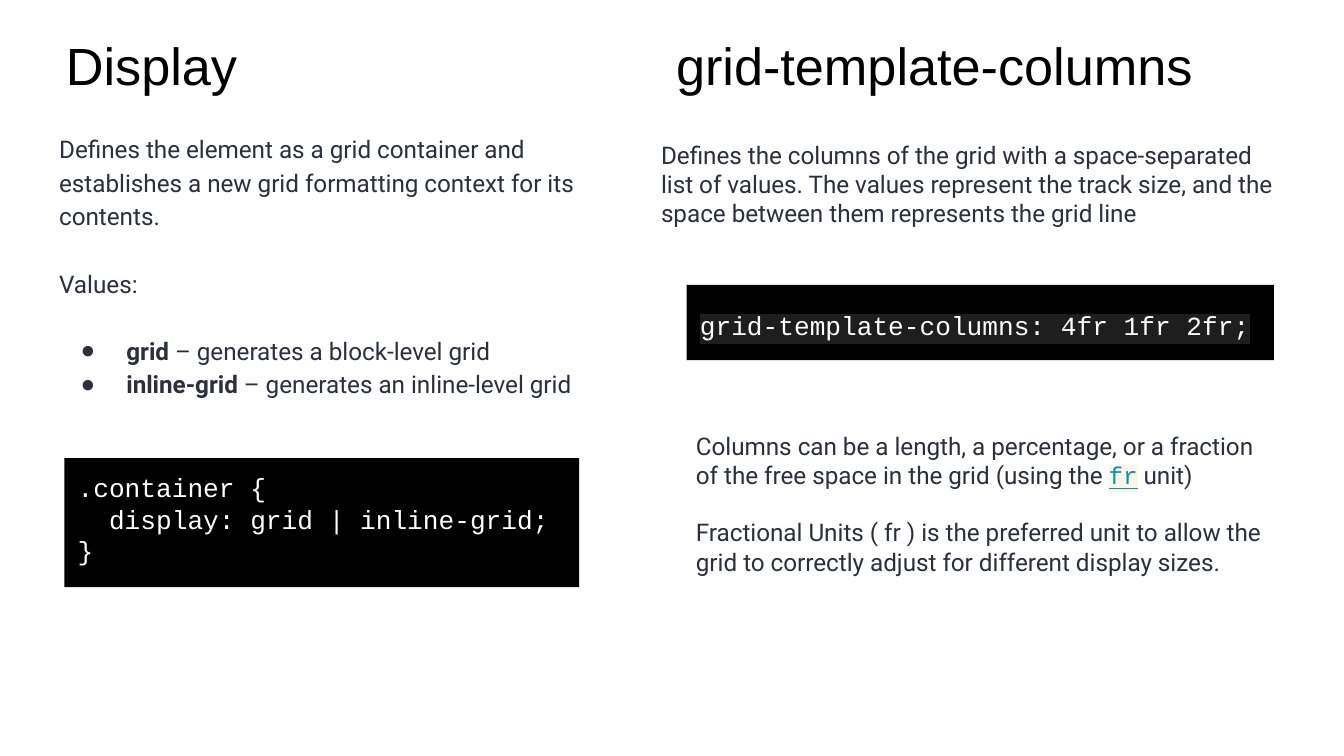
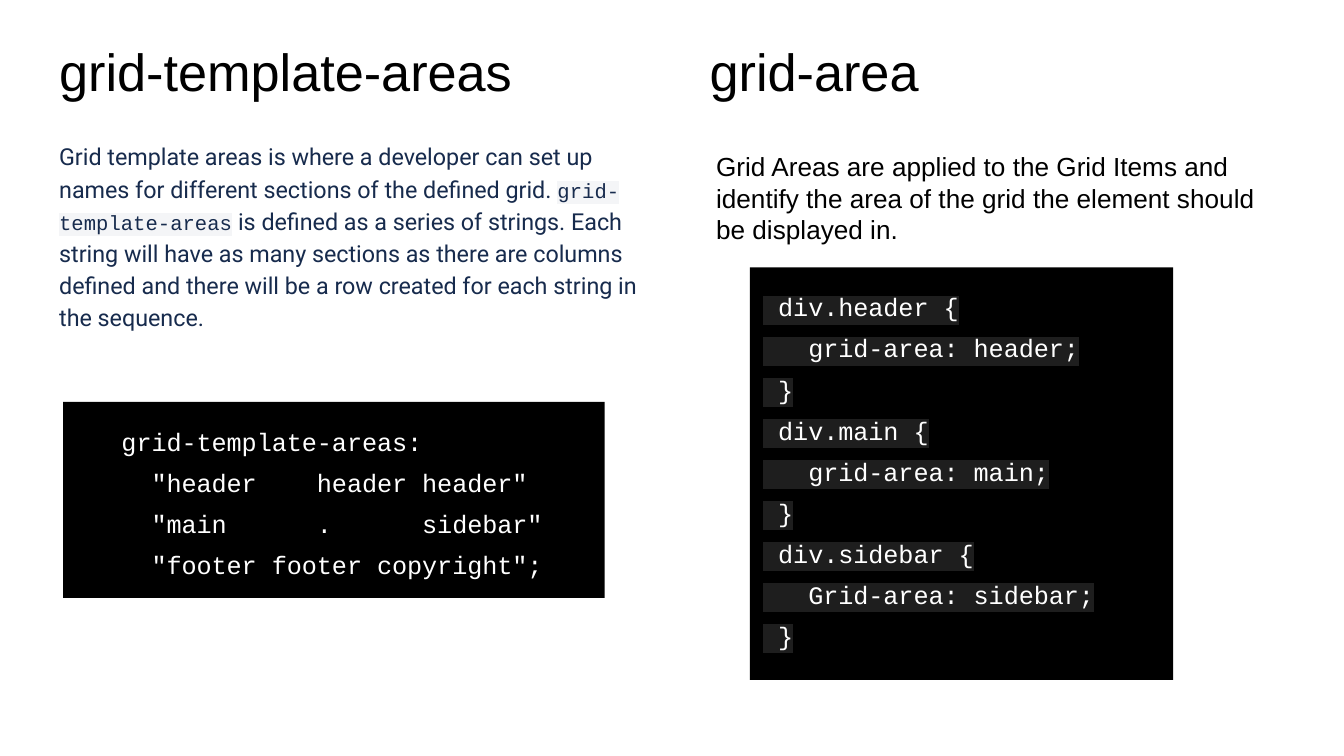
from lxml.etree import SubElement
from pptx import Presentation
from pptx.dml.color import RGBColor
from pptx.enum.shapes import MSO_SHAPE
from pptx.enum.text import MSO_ANCHOR, MSO_AUTO_SIZE, PP_ALIGN
from pptx.oxml.ns import qn
from pptx.util import Inches, Pt

# Shared style: a grid of 0.1 inch cells, 100 columns by 56.25 rows
CELL = Inches(0.1)
BLACK, WHITE, INK, NAVY, TEAL = "000000", "FFFFFF", "2E2F3E", "172B4D", "0097A7"
CODE_BAND, LINK_BAND, WORD_BAND = "1E1E1E", "FFF6EA", "F4F5F7"
SANS, MONO, BODY = "Arial", "Courier New", "Roboto"


def rgb(value):
    return RGBColor.from_string(value)


def add_run(paragraph, text, size=13, font=BODY, color=INK, bold=False,
            underline=False, highlight=None):
    run = paragraph.add_run()
    run.text = text
    run.font.size = Pt(size)
    run.font.bold = bold
    run.font.underline = underline
    run.font.color.rgb = rgb(color)
    if highlight:
        band = SubElement(run.font._element, qn("a:highlight"))
        SubElement(band, qn("a:srgbClr"), val=highlight)
    run.font.name = font


def set_bullet(paragraph, char=None, color=INK):
    props = paragraph._p.get_or_add_pPr()
    props.set("marL", str(Inches(0.5) if char else 0))
    props.set("indent", str(-Inches(0.34) if char else 0))
    if char:
        tint = SubElement(props, qn("a:buClr"))
        SubElement(tint, qn("a:srgbClr"), val=color)
        SubElement(props, qn("a:buChar"), char=char)
    else:
        SubElement(props, qn("a:buNone"))


class Deck:
    """Holds the presentation, its style and the current slide."""

    def __init__(self):
        self.prs = Presentation()
        self.prs.slide_width = 100 * CELL
        self.prs.slide_height = int(56.25 * CELL)
        self.slide = None

    def new_slide(self):
        self.slide = self.prs.slides.add_slide(self.prs.slide_layouts[4])
        for spare in list(self.slide.placeholders):
            if spare.placeholder_format.idx > 2:
                spare._element.getparent().remove(spare._element)

    def box(self, area):
        return [int(n * CELL) for n in area]

    def set_text(self, shape, paragraphs, spacing=1.0, before=0, bullets_from=None,
                 **style):
        """Each paragraph is a string or a list of (text, overrides) runs."""
        frame = shape.text_frame
        frame.word_wrap = True
        frame.auto_size = MSO_AUTO_SIZE.NONE
        frame.vertical_anchor = MSO_ANCHOR.TOP
        frame.margin_left = frame.margin_right = CELL
        frame.margin_top = frame.margin_bottom = CELL
        for i, runs in enumerate(paragraphs):
            paragraph = frame.paragraphs[0] if i == 0 else frame.add_paragraph()
            paragraph.alignment = PP_ALIGN.LEFT
            paragraph.line_spacing = spacing
            in_list = bullets_from is not None and i >= bullets_from
            continues = i == 0 or (in_list and i > bullets_from)
            paragraph.space_before = Pt(0 if continues else before)
            set_bullet(paragraph, "●" if in_list else None)
            for text, changes in [(runs, {})] if isinstance(runs, str) else runs:
                add_run(paragraph, text, **{**style, **changes})

    def fill_placeholder(self, idx, area, paragraphs, **style):
        shape = self.slide.placeholders[idx]
        shape.left, shape.top, shape.width, shape.height = self.box(area)
        self.set_text(shape, paragraphs, **style)

    def headings(self, left, left_area, right, right_area):
        for idx, text, area in ((0, left, left_area), (1, right, right_area)):
            self.fill_placeholder(idx, area, [text], size=28, font=SANS, color=BLACK)

    def body(self, area, paragraphs, **style):
        self.fill_placeholder(2, area, paragraphs, spacing=1.15, **style)

    def note(self, area, paragraphs, **style):
        self.set_text(self.slide.shapes.add_textbox(*self.box(area)), paragraphs, **style)

    def code(self, area, source, size=13.5, spacing=1.36, highlight=None):
        panel = self.slide.shapes.add_shape(MSO_SHAPE.RECTANGLE, *self.box(area))
        panel.shadow.inherit = False
        panel.fill.solid()
        panel.fill.fore_color.rgb = rgb(BLACK)
        panel.line.fill.background()
        self.set_text(panel, source.split("\n"), spacing=spacing, size=size,
                      font=MONO, color=WHITE, highlight=highlight)


def display_and_columns(deck):
    deck.new_slide()
    deck.headings("Display", (3.9, 1.5, 39.2, 6.3),
                  "grid-template-columns", (49.3, 1.5, 43.7, 6.3))

    # Display: definition, values and usage
    deck.body((3.4, 8.7, 44.3, 41.3), [
        "Defines the element as a grid container and establishes a new grid "
        "formatting context for its contents.",
        "Values:",
        [("grid", {"bold": True}), (" – generates a block-level grid", {})],
        [("inline-grid", {"bold": True}), (" – generates an inline-level grid", {})],
    ], before=18, bullets_from=2)
    deck.code((4.8, 34.1, 38.3, 9.6),
              ".container {\n  display: grid | inline-grid;\n}", size=14, spacing=1.0)

    # Columns: definition, usage and units
    deck.note((48.2, 9.4, 47.8, 21.7), [
        "Defines the columns of the grid with a space-separated list of values. "
        "The values represent the track size, and the space between them "
        "represents the grid line"])
    deck.code((51.1, 21.2, 43.7, 5.6), "grid-template-columns: 4fr 1fr 2fr;",
              size=14, highlight=CODE_BAND)
    unit = {"font": MONO, "color": TEAL, "underline": True, "highlight": LINK_BAND}
    deck.note((50.8, 31.1, 44.3, 18), [
        [("Columns can be a length, a percentage, or a fraction of the free space "
          "in the grid (using the ", {}), ("fr", unit), (" unit)", {})],
        "Fractional Units ( fr ) is the preferred unit to allow the grid to "
        "correctly adjust for different display sizes.",
    ], before=15)


def template_areas_and_area(deck):
    deck.new_slide()
    deck.headings("grid-template-areas", (3.4, 1.9, 45.1, 6.3),
                  "grid-area", (51.8, 1.9, 45.1, 6.3))

    # Template areas: named sections
    keyword = {"size": 11, "font": MONO, "highlight": WORD_BAND}
    deck.body((3.4, 9.3, 45.1, 44.1), [[
        ("Grid template areas is where a developer can set up names for different "
         "sections of the defined grid. ", {}),
        ("grid-template-areas", keyword),
        (" is defined as a series of strings. Each string will have as many sections "
         "as there are columns defined and there will be a row created for each "
         "string in the sequence.", {}),
    ]], size=12.5, color=NAVY)
    deck.code((4.7, 29.9, 40.3, 14.6), '''   grid-template-areas:
     "header    header header"
     "main      .      sidebar"
     "footer footer copyright";''')

    # Grid area: one rule for each item
    deck.note((52.3, 10.2, 44.7, 42.1), [
        "Grid Areas are applied to the Grid Items and identify the area of the grid "
        "the element should be displayed in."], size=14, font=SANS, color=BLACK)
    rules = (("header", "grid-area"), ("main", "grid-area"), ("sidebar", "Grid-area"))
    deck.code((55.8, 19.9, 31.5, 30.7),
              "\n".join(f" div.{item} {{\n   {prop}: {item};\n }}" for item, prop in rules),
              highlight=CODE_BAND)


def main():
    deck = Deck()
    display_and_columns(deck)
    template_areas_and_area(deck)
    deck.prs.save("out.pptx")


if __name__ == "__main__":
    main()
